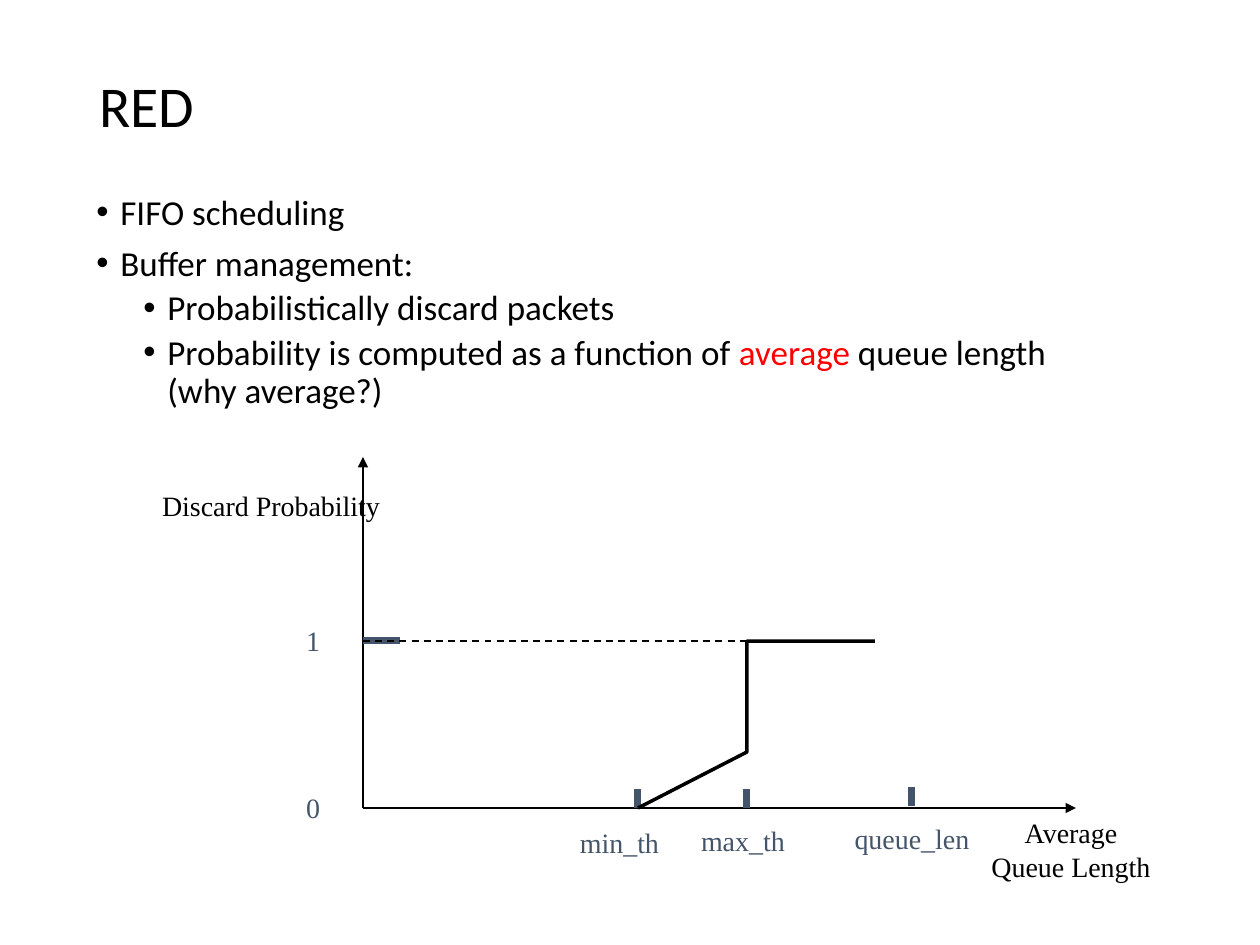
"""Builds the RED slide: scheduling bullets above a discard probability diagram."""
from dataclasses import dataclass

from lxml.etree import SubElement
from pptx import Presentation
from pptx.dml.color import RGBColor
from pptx.enum.dml import MSO_LINE
from pptx.enum.shapes import MSO_CONNECTOR
from pptx.enum.text import MSO_ANCHOR, MSO_AUTO_SIZE, PP_ALIGN
from pptx.oxml.ns import qn
from pptx.util import Emu, Pt

EMU_PER_PX = 914400 / 126
COLORS = {"black": "000000", "slate": "44546A", "red": "FF0000"}
ORIGIN_X, ORIGIN_Y = 363, 808
FULL_Y, KNEE_Y = 641, 752
MIN_X, MAX_X, QUEUE_X = 638, 747, 912


@dataclass
class Bullet:
    level: int
    runs: list[tuple[str, str]]


@dataclass
class Label:
    lines: list[str]
    box: tuple[int, int, int, int]
    color: str = "slate"


@dataclass
class Line:
    start: tuple[int, int]
    end: tuple[int, int]
    color: str = "slate"
    width: int = 4
    arrow: bool = False
    dashed: bool = False


BULLETS = [
    Bullet(0, [("FIFO scheduling", "black")]),
    Bullet(0, [("Buffer management:", "black")]),
    Bullet(1, [("Probabilistically discard packets", "black")]),
    Bullet(1, [("Probability is computed as a function of ", "black"), ("average ", "red"),
               ("queue length (why average?)", "black")]),
]
LABELS = [
    Label(["Discard Probability"], (149, 483, 244, 45), "black"),
    Label(["Average", "Queue Length"], (979, 810, 184, 79), "black"),
    Label(["min_th"], (567, 820, 105, 45)),
    Label(["max_th"], (688, 818, 110, 45)),
    Label(["queue_len"], (842, 816, 140, 45)),
    Label(["0"], (284, 774, 58, 67)),
    Label(["1"], (284, 607, 58, 67)),
]
LINES = [
    Line((ORIGIN_X, ORIGIN_Y), (ORIGIN_X, 457), "black", 1, arrow=True),
    Line((ORIGIN_X, ORIGIN_Y), (1076, ORIGIN_Y), "black", 1, arrow=True),
    Line((ORIGIN_X, FULL_Y), (400, FULL_Y)),
    Line((MIN_X, ORIGIN_Y), (MIN_X, 789)),
    Line((MAX_X, ORIGIN_Y), (MAX_X, 789)),
    Line((QUEUE_X, 806), (QUEUE_X, 787)),
    Line((ORIGIN_X, FULL_Y), (857, FULL_Y), "black", 1, dashed=True),
]
CURVE = [(MIN_X, ORIGIN_Y), (MAX_X, KNEE_Y), (MAX_X, FULL_Y), (875, FULL_Y)]


def px(value: int) -> Emu:
    """Turns pixels into EMU."""
    return Emu(round(value * EMU_PER_PX))


def rgb(name: str) -> RGBColor:
    """Looks up a named colour."""
    return RGBColor.from_string(COLORS[name])


def set_font(font, name: str, size: int, color: str) -> None:
    """Sets typeface, size and colour."""
    font.name, font.size = name, Pt(size)
    font.color.rgb = rgb(color)


def add_box(slide, box: tuple[int, int, int, int], anchor=MSO_ANCHOR.MIDDLE, wrap: bool = True):
    """Adds a text box and returns its text frame."""
    frame = slide.shapes.add_textbox(*map(px, box)).text_frame
    frame.auto_size = MSO_AUTO_SIZE.NONE
    frame.word_wrap = wrap
    frame.vertical_anchor = anchor
    return frame


def add_title(slide, text: str) -> None:
    """Adds the slide title."""
    paragraph = add_box(slide, (87, 50, 1086, 117)).paragraphs[0]
    paragraph.text = text
    paragraph.line_spacing = 0.9
    set_font(paragraph.font, "Calibri", 33, "black")


def add_bullets(slide, bullets: list[Bullet]) -> None:
    """Adds the bulleted body text."""
    frame = add_box(slide, (84, 189, 1029, 567), MSO_ANCHOR.TOP)
    for index, bullet in enumerate(bullets):
        paragraph = frame.add_paragraph() if index else frame.paragraphs[0]
        paragraph.level = bullet.level
        properties = paragraph._p.get_or_add_pPr()
        properties.set("marL", str(px(24 + 47 * bullet.level)))
        properties.set("indent", str(px(-24)))
        SubElement(properties, qn("a:buFont"), typeface="Arial")
        SubElement(properties, qn("a:buChar"), char="•")
        paragraph.line_spacing = 0.9
        if index:
            paragraph.space_before = Pt(3.8 if bullet.level else 7.5)
        set_font(paragraph.font, "Calibri", 20, "black")
        for text, color in bullet.runs:
            run = paragraph.add_run()
            run.text = text
            if color != "black":
                run.font.color.rgb = rgb(color)


def add_label(slide, label: Label) -> None:
    """Adds a centred diagram label."""
    frame = add_box(slide, label.box, wrap=False)
    frame.text = "\n".join(label.lines)
    for paragraph in frame.paragraphs:
        paragraph.alignment = PP_ALIGN.CENTER
        set_font(paragraph.font, "Times New Roman", 16, label.color)


def add_line(slide, line: Line) -> None:
    """Adds an axis, tick or guide line."""
    connector = slide.shapes.add_connector(
        MSO_CONNECTOR.STRAIGHT, *map(px, line.start + line.end))
    connector.line.color.rgb = rgb(line.color)
    connector.line.width = Pt(line.width)
    if line.dashed:
        connector.line.dash_style = MSO_LINE.DASH
    if line.arrow:
        SubElement(connector.line._get_or_add_ln(), qn("a:tailEnd"), type="triangle")
    SubElement(connector._element.spPr, qn("a:effectLst"))


def add_curve(slide, points: list[tuple[int, int]]) -> None:
    """Adds the open discard probability curve."""
    start, *rest = [(px(x), px(y)) for x, y in points]
    builder = slide.shapes.build_freeform(*start)
    builder.add_line_segments(rest, close=False)
    shape = builder.convert_to_shape()
    shape.shadow.inherit = False
    shape.fill.background()
    shape.line.color.rgb = rgb("black")
    shape.line.width = Pt(2)


def main() -> None:
    """Builds and saves the presentation."""
    presentation = Presentation()
    presentation.slide_width, presentation.slide_height = px(1260), px(945)
    slide = presentation.slides.add_slide(presentation.slide_layouts[6])
    add_title(slide, "RED")
    add_bullets(slide, BULLETS)
    for label in LABELS:
        add_label(slide, label)
    for line in LINES:
        add_line(slide, line)
    add_curve(slide, CURVE)
    presentation.save("out.pptx")


if __name__ == "__main__":
    main()
